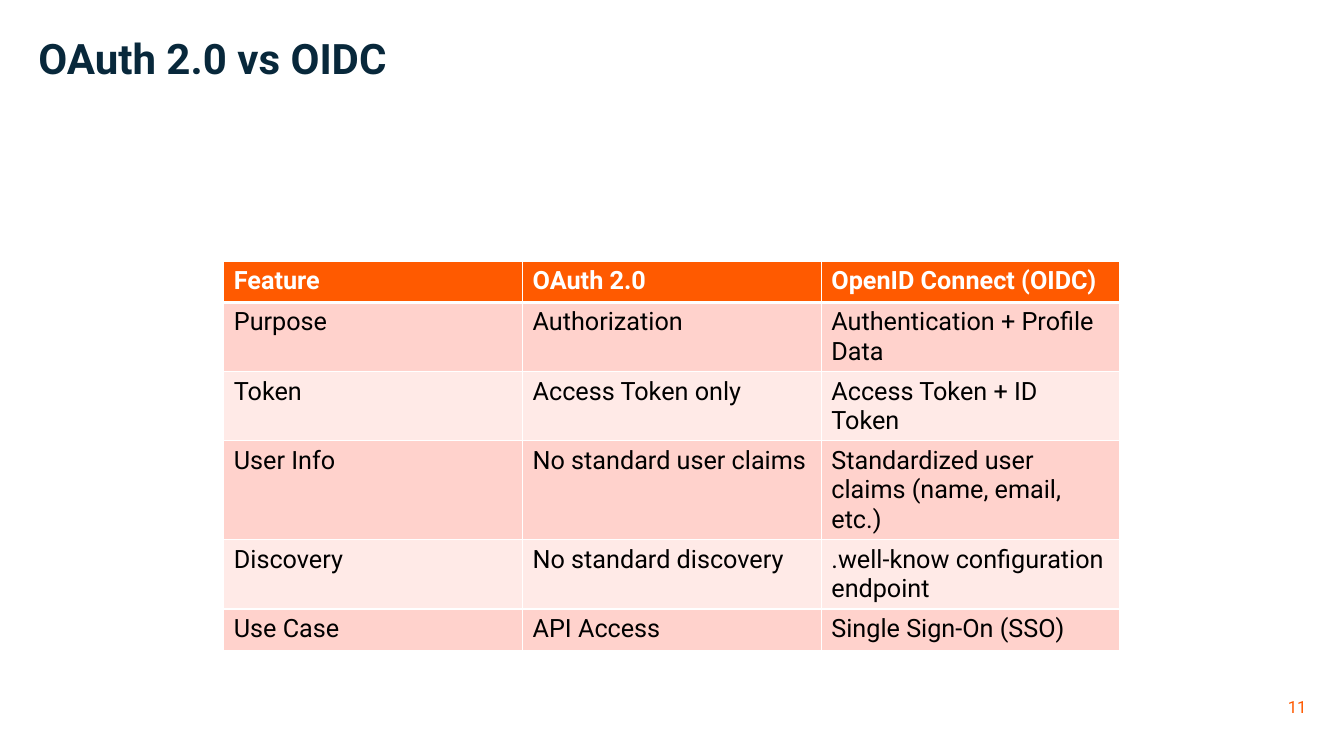
from dataclasses import dataclass

from lxml import etree
from pptx import Presentation
from pptx.dml.color import RGBColor
from pptx.enum.text import MSO_ANCHOR, MSO_AUTO_SIZE, PP_ALIGN
from pptx.oxml.ns import qn
from pptx.util import Inches, Pt

TOP, MIDDLE = MSO_ANCHOR.TOP, MSO_ANCHOR.MIDDLE
LEFT, RIGHT = PP_ALIGN.LEFT, PP_ALIGN.RIGHT
NO_AUTOFIT = MSO_AUTO_SIZE.NONE
TITLE_ONLY = 5


@dataclass(frozen=True)
class Theme:
    """Colours, font and type sizes of the slide."""
    font: str = "Roboto"
    title: str = "08283B"
    accent: str = "FF5A00"
    white: str = "FFFFFF"
    body: str = "000000"
    bands: tuple = ("FFD2CC", "FFEAE7")
    title_size: int = 30
    table_size: int = 18
    number_size: int = 12
    thin: int = 1
    thick: int = 3


THEME = Theme()

ROWS = [
    ("Feature", "OAuth 2.0", "OpenID Connect (OIDC)"),
    ("Purpose", "Authorization", "Authentication + Profile Data"),
    ("Token", "Access Token only", "Access Token + ID Token"),
    ("User Info", "No standard user claims", "Standardized user claims (name, email, etc.)"),
    ("Discovery", "No standard discovery", ".well-know configuration endpoint"),
    ("Use Case", "API Access", "Single Sign-On (SSO)"),
]


def style(p, size, color, bold=False, align=LEFT):
    """Set the font and alignment of a paragraph."""
    p.alignment = align
    p.font.name = THEME.font
    p.font.size = Pt(size)
    p.font.bold = bold
    p.font.color.rgb = RGBColor.from_string(color)


def set_frame(tf, anchor, left=0, top=0, right=0, bottom=0):
    """Set wrapping, anchor and insets of a text frame."""
    tf.word_wrap = True
    tf.auto_size = NO_AUTOFIT
    tf.vertical_anchor = anchor
    tf.margin_left, tf.margin_top = Inches(left), Inches(top)
    tf.margin_right, tf.margin_bottom = Inches(right), Inches(bottom)


def set_title(s, text):
    """Place and format the title placeholder."""
    sp = s.shapes.title
    sp.left, sp.top = Inches(0.38), Inches(0.38)
    sp.width, sp.height = Inches(10.58), Inches(0.46)
    set_frame(sp.text_frame, TOP)
    p = sp.text_frame.paragraphs[0]
    p.text = text
    p.line_spacing = 0.89
    style(p, THEME.title_size, THEME.title, bold=True)


def add_page_number(s, text):
    """Add the page number at the lower right."""
    sp = s.shapes.add_textbox(Inches(12.55), Inches(6.89), Inches(0.41), Inches(0.24))
    set_frame(sp.text_frame, MIDDLE, left=0.1, top=0.05, bottom=0.05)
    p = sp.text_frame.paragraphs[0]
    p.text = text
    style(p, THEME.number_size, THEME.accent, align=RIGHT)


def set_borders(cell, widths):
    """Draw the left, right, top and bottom borders of a cell."""
    tc_pr = cell._tc.get_or_add_tcPr()
    for side, width in zip("LRTB", widths):
        ln = etree.SubElement(tc_pr, qn(f"a:ln{side}"), w=str(Pt(width)))
        fill = etree.SubElement(ln, qn("a:solidFill"))
        etree.SubElement(fill, qn("a:srgbClr"), val=THEME.white)


def fill_cell(cell, row, text):
    """Write and format one cell according to its row."""
    header = row == 0
    top = THEME.thick if row == 1 else THEME.thin
    bottom = THEME.thick if header else THEME.thin
    set_borders(cell, (THEME.thin, THEME.thin, top, bottom))
    color = THEME.accent if header else THEME.bands[(row - 1) % 2]
    cell.fill.solid()
    cell.fill.fore_color.rgb = RGBColor.from_string(color)
    p = cell.text_frame.paragraphs[0]
    p.text = text
    style(p, THEME.table_size, THEME.white if header else THEME.body, bold=header)


def add_comparison(s, rows):
    """Add the comparison table with equal columns and rows."""
    height = Inches(0.41)
    frame = s.shapes.add_table(len(rows), len(rows[0]), Inches(2.22), Inches(2.59),
                               Inches(8.89), height * len(rows))
    table = frame.table
    for i, texts in enumerate(rows):
        table.rows[i].height = height
        for j, text in enumerate(texts):
            fill_cell(table.cell(i, j), i, text)


def main():
    """Build and save the slide."""
    prs = Presentation()
    prs.slide_width, prs.slide_height = Inches(13.33), Inches(7.5)
    s = prs.slides.add_slide(prs.slide_layouts[TITLE_ONLY])
    set_title(s, "OAuth 2.0 vs OIDC")
    add_page_number(s, "11")
    add_comparison(s, ROWS)
    prs.save("out.pptx")


if __name__ == "__main__":
    main()
